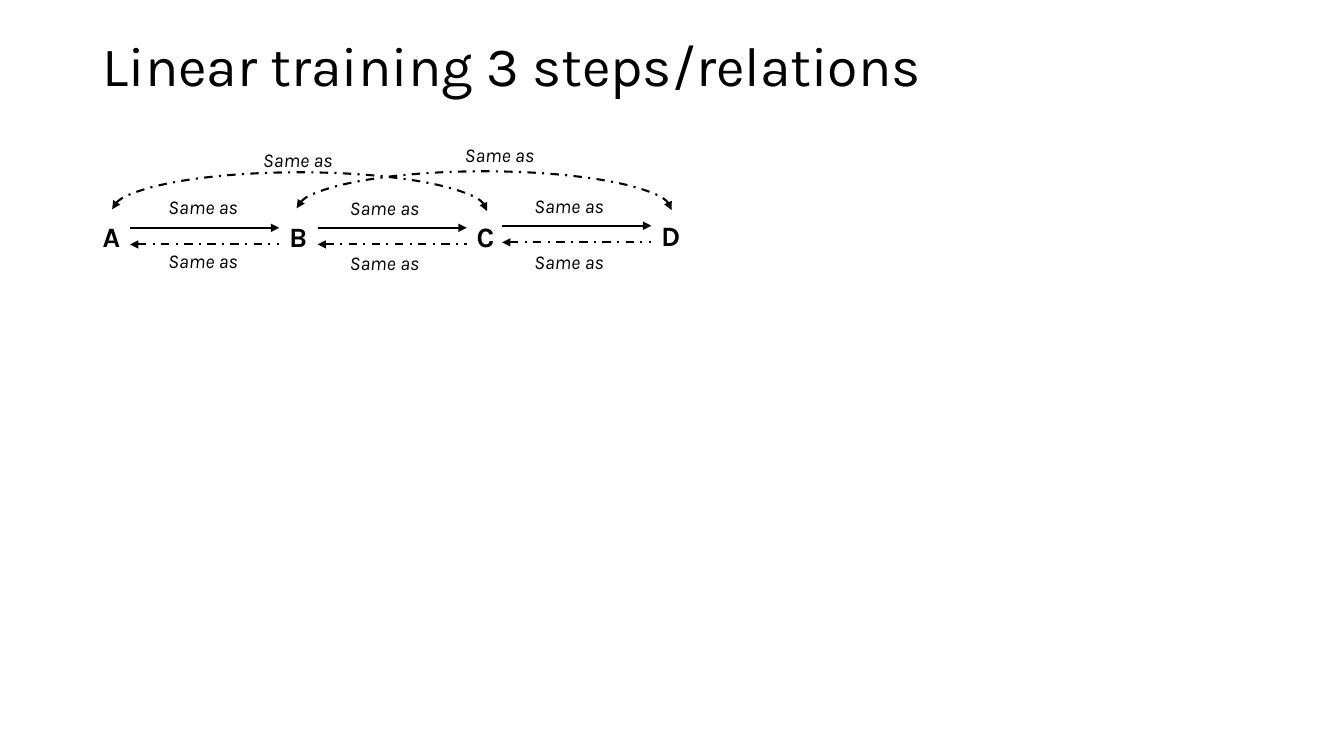
"""Build a slide showing linear training with three trained relations."""
from lxml import etree
from pptx import Presentation
from pptx.dml.color import RGBColor
from pptx.enum.dml import MSO_LINE
from pptx.enum.shapes import MSO_CONNECTOR, MSO_SHAPE
from pptx.enum.text import MSO_ANCHOR, MSO_AUTO_SIZE
from pptx.oxml.ns import qn
from pptx.util import Inches, Pt

STRAIGHT = MSO_CONNECTOR.STRAIGHT
ARC = MSO_SHAPE.ARC
DASH_DOT = MSO_LINE.DASH_DOT
MIDDLE = MSO_ANCHOR.MIDDLE
FIT_SHAPE = MSO_AUTO_SIZE.SHAPE_TO_FIT_TEXT

TITLE = "Linear training 3 steps/relations"
RELATION = "Same as"
STIMULI = [("A", 0.92, 2.13, 0.38), ("B", 2.77, 2.13, 0.38),
           ("C", 4.63, 2.13, 0.4), ("D", 6.46, 2.12, 0.4)]
STEPS = [
    {"left": 1.29, "trained": 2.26, "label_left": 1.57, "label_tops": (1.88, 2.42)},
    {"left": 3.15, "trained": 2.26, "label_left": 3.37, "label_tops": (1.89, 2.44)},
    {"left": 4.98, "trained": 2.24, "label_left": 5.2, "label_tops": (1.87, 2.43)},
]
DERIVED = [
    {"left": 1.11, "top": 1.71, "label": (2.51, 1.42)},
    {"left": 2.94, "top": 1.7, "label": (4.51, 1.37)},
]

THEME = {
    "ink": RGBColor(0, 0, 0),
    "line": Pt(1.5),
    "title": {"name": "Karla", "size": Pt(39.6)},
    "stimulus": {"name": "Karla", "size": Pt(20), "bold": True},
    "relation": {"name": "Karla", "size": Pt(14), "italic": True},
}
LABEL_SIZE = (0.93, 0.34)
STIMULUS_HEIGHT = 0.44
ARROW_LENGTH = 1.48
ARROW_GAP = 0.165
ARC_SIZE = (3.72, 0.77)
ARC_START = 108.338


def add_text(slide, text, box, style, **frame_format):
    shape = slide.shapes.add_textbox(*map(Inches, box))
    frame = shape.text_frame
    for name, value in frame_format.items():
        setattr(frame, name, value)
    paragraph = frame.paragraphs[0]
    run = paragraph.add_run()
    run.text = text
    for name, value in THEME[style].items():
        setattr(run.font, name, value)
    run.font.color.rgb = THEME["ink"]
    return paragraph


def add_label(slide, text, box, style):
    add_text(slide, text, box, style, word_wrap=False, auto_size=FIT_SHAPE)


def format_line(shape, ends, dash=None):
    line = shape.line
    line.color.rgb = THEME["ink"]
    line.width = THEME["line"]
    if dash:
        line.dash_style = dash
    outline = line._get_or_add_ln()
    for end in ends:
        etree.SubElement(outline, qn(f"a:{end}"), type="triangle")


def add_arrow(slide, left, top, end, dash=None):
    points = (left, top, left + ARROW_LENGTH, top)
    arrow = slide.shapes.add_connector(STRAIGHT, *map(Inches, points))
    format_line(arrow, [end], dash)
    etree.SubElement(arrow._element.spPr, qn("a:effectLst"))


def add_step(slide, step):
    add_arrow(slide, step["left"], step["trained"], "tailEnd")
    add_arrow(slide, step["left"], step["trained"] + ARROW_GAP, "headEnd", DASH_DOT)
    for top in step["label_tops"]:
        add_label(slide, RELATION, (step["label_left"], top, *LABEL_SIZE), "relation")


def add_derived(slide, relation):
    box = (relation["left"], relation["top"], *ARC_SIZE)
    arc = slide.shapes.add_shape(ARC, *map(Inches, box))
    arc.adjustments[0] = ARC_START
    arc.adjustments[1] = 0
    arc.fill.background()
    arc.shadow.inherit = False
    format_line(arc, ["headEnd", "tailEnd"], DASH_DOT)
    add_label(slide, RELATION, (*relation["label"], *LABEL_SIZE), "relation")


def main():
    presentation = Presentation()
    presentation.slide_width = Inches(13.33)
    presentation.slide_height = Inches(7.5)
    slide = presentation.slides.add_slide(presentation.slide_layouts[6])
    title = add_text(slide, TITLE, (0.92, 0.4, 11.5, 0.55), "title",
                     word_wrap=True, vertical_anchor=MIDDLE)
    title.line_spacing = 0.9
    for letter, left, top, width in STIMULI:
        add_label(slide, letter, (left, top, width, STIMULUS_HEIGHT), "stimulus")
    for step in STEPS:
        add_step(slide, step)
    for relation in DERIVED:
        add_derived(slide, relation)
    presentation.save("out.pptx")


if __name__ == "__main__":
    main()
